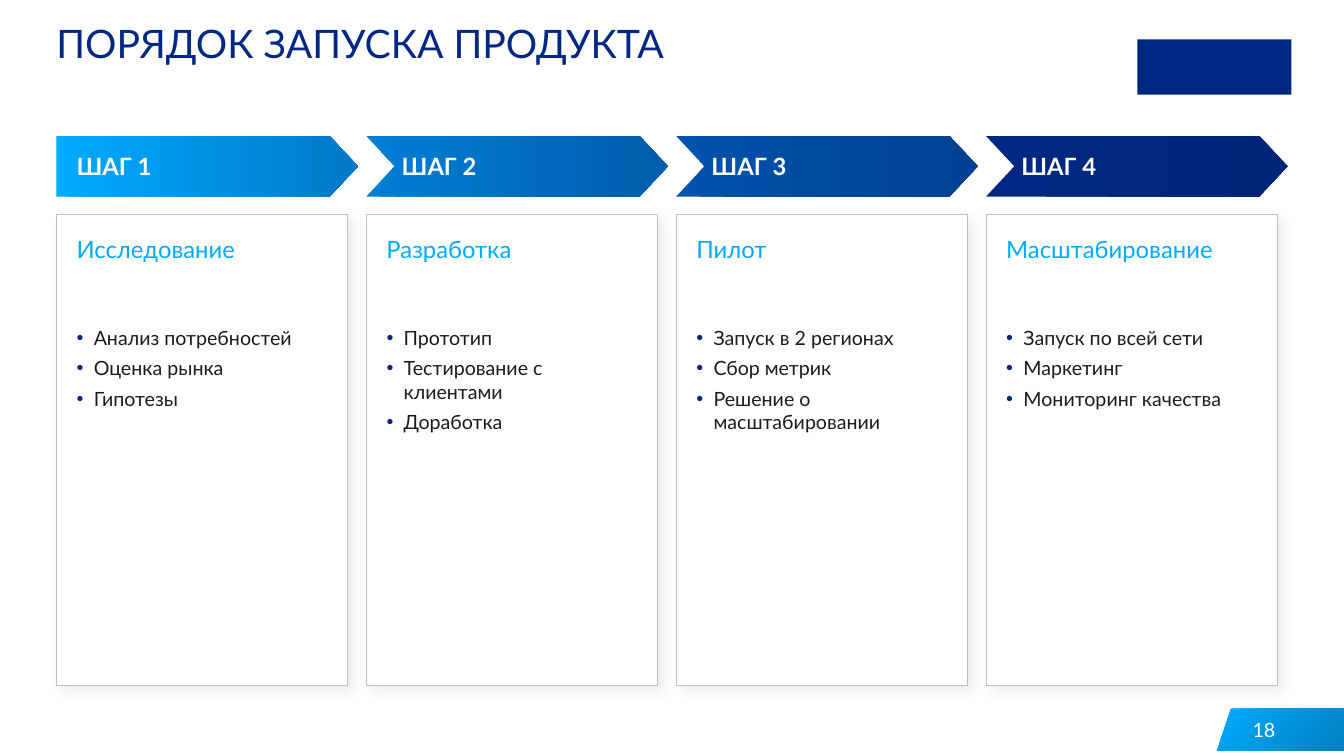
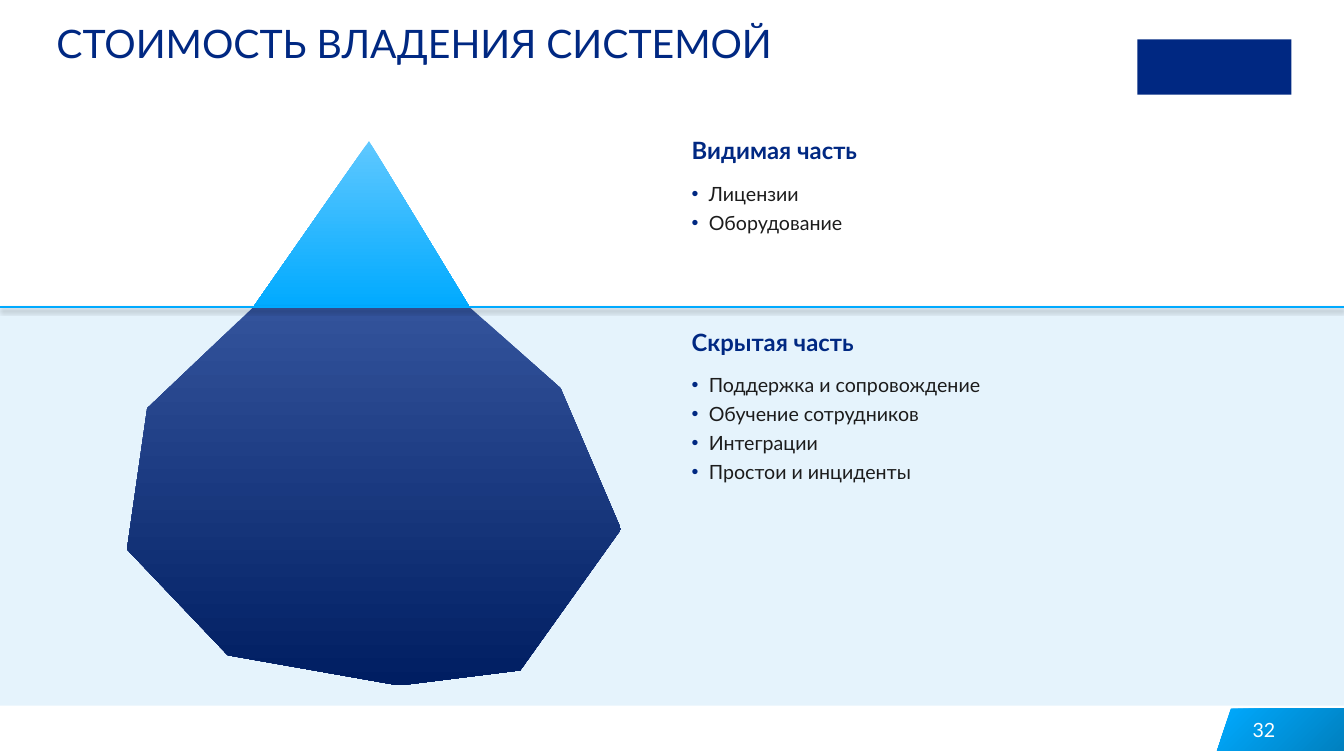
from lxml import etree
from pptx import Presentation
from pptx import util as u
from pptx.dml.color import RGBColor
from pptx.enum import shapes, text
from pptx.oxml.ns import qn

NAVY, SKY, INK, WHITE = "002882", "00AAFF", "1C1C1C", "FFFFFF"
GREY, WATER = "BFBFBF", "E5F3FC"
LEFT, RIGHT, WIDE = 0.56, 12.77, 13.33
TITLE = {"size": 28, "color": NAVY}
STEP = {"size": 17, "color": WHITE, "bold": True}
NAME = {"size": 17, "color": SKY}
HEAD = {"size": 17, "color": NAVY, "bold": True}
BODY = {"size": 14, "color": INK}
PAGE = {"size": 14, "color": WHITE}
# Shadows: opacity %, blur, distance, angle
SOFT, HARD = (8, 9, 5, 45), (38, 3.1, 1.6, 90)


def rgb(code):
    return RGBColor.from_string(code)


def node(parent, tag, **attrs):
    return etree.SubElement(parent, qn(tag), {k: str(v) for k, v in attrs.items()})


class Deck:
    """Holds the shared style and the current slide."""

    def __init__(self):
        self.prs = Presentation()
        self.prs.slide_width = u.Inches(WIDE)
        self.prs.slide_height = u.Inches(7.5)

    def start(self, layout, title, page):
        self.slide = self.prs.slides.add_slide(self.prs.slide_layouts[layout])
        self.shapes = self.slide.shapes
        self.slots = [p for p in self.slide.placeholders
                      if p.placeholder_format.idx > 0]
        self.fill(self.shapes.title, (LEFT, 0.19, 10.48, 0.94), [title], TITLE)
        # Emblem block and page tag
        self.rect((11.28, 0.39, 1.53, 0.55), NAVY)
        self.poly([(12.21, 7.03), (WIDE, 7.03), (WIDE, 7.45), (12.07, 7.45)],
                  (SKY, "0080BF"), 45)
        self.label((12.19, 7.04, 0.46, 0.4), str(page), PAGE,
                   text.MSO_ANCHOR.MIDDLE, text.PP_ALIGN.RIGHT)

    def effect(self, shape, shadow=None):
        """Set the shadow; call after fill and line."""
        fx = node(shape.element.spPr, "a:effectLst")
        if shadow:
            alpha, blur, dist, turn = shadow
            out = node(fx, "a:outerShdw", blurRad=u.Pt(blur), dist=u.Pt(dist),
                       dir=turn * 60000, algn="ctr", rotWithShape=0)
            tint = node(out, "a:srgbClr", val="000000")
            node(tint, "a:alpha", val=alpha * 1000)

    def rect(self, box, fill, line=None, shadow=None):
        shape = self.shapes.add_shape(shapes.MSO_SHAPE.RECTANGLE,
                                      *map(u.Inches, box))
        shape.fill.solid()
        shape.fill.fore_color.rgb = rgb(fill)
        if line:
            shape.line.color.rgb = rgb(line)
            shape.line.width = u.Pt(0.5)
        else:
            shape.line.fill.background()
        self.effect(shape, shadow)

    def poly(self, points, tones, turn):
        first, *rest = [(u.Inches(x), u.Inches(y)) for x, y in points]
        build = self.shapes.build_freeform(*first)
        build.add_line_segments(rest, close=True)
        shape = build.convert_to_shape()
        shape.fill.gradient()
        shape.fill.gradient_angle = -turn % 360
        for stop, tone in zip(shape.fill.gradient_stops, tones):
            stop.color.rgb = rgb(tone)
        shape.line.fill.background()
        self.effect(shape)

    def rule(self, x1, y1, x2, y2):
        line = self.shapes.add_connector(shapes.MSO_CONNECTOR.STRAIGHT,
                                         *map(u.Inches, (x1, y1, x2, y2)))
        line.line.color.rgb = rgb(SKY)
        line.line.width = u.Pt(1.5)
        self.effect(line, HARD)

    def label(self, box, line, style, anchor=text.MSO_ANCHOR.TOP,
              align=text.PP_ALIGN.LEFT):
        shape = self.shapes.add_textbox(*map(u.Inches, box))
        self.fill(shape, box, [line], style, anchor, align)

    def items(self, box, lines, gap):
        """Fill the next body placeholder and bring it to the front."""
        shape = self.slots.pop(0)
        shape.element.getparent().append(shape.element)
        self.fill(shape, box, lines, BODY, gap=gap, bullet=True)

    def fill(self, shape, box, lines, style, anchor=text.MSO_ANCHOR.TOP,
             align=text.PP_ALIGN.LEFT, gap=0, bullet=False):
        for key, val in zip(("left", "top", "width", "height"), box):
            setattr(shape, key, u.Inches(val))
        frame = shape.text_frame
        form = {"word_wrap": True, "auto_size": text.MSO_AUTO_SIZE.NONE,
                "vertical_anchor": anchor, "margin_left": 0, "margin_right": 0,
                "margin_top": 0, "margin_bottom": 0}
        for key, val in form.items():
            setattr(frame, key, val)
        for i, line in enumerate(lines):
            para = frame.add_paragraph() if i else frame.paragraphs[0]
            para.alignment = align
            para.space_before = u.Pt(gap if i else 0)
            if bullet:
                self.bullet(para)
            run = para.add_run()
            run.text = line
            font = {"name": "Lato", "bold": False, **style}
            run.font.color.rgb = rgb(font.pop("color"))
            font["size"] = u.Pt(font["size"])
            for key, val in font.items():
                setattr(run.font, key, val)

    def bullet(self, para):
        prop = para._p.get_or_add_pPr()
        prop.set("marL", str(u.Inches(0.17)))
        prop.set("indent", str(u.Inches(-0.17)))
        node(node(prop, "a:buClr"), "a:srgbClr", val=NAVY)
        node(prop, "a:buChar", char="•")


def steps(deck):
    deck.start(4, "ПОРЯДОК ЗАПУСКА ПРОДУКТА", 18)
    plan = [
        ("Исследование", ("00AAFF", "0079C8"),
         ["Анализ потребностей", "Оценка рынка", "Гипотезы"]),
        ("Разработка", ("007FD5", "005DAD"),
         ["Прототип", "Тестирование с клиентами", "Доработка"]),
        ("Пилот", ("0053AC", "004092"),
         ["Запуск в 2 регионах", "Сбор метрик", "Решение о масштабировании"]),
        ("Масштабирование", ("002882", "002477"),
         ["Запуск по всей сети", "Маркетинг", "Мониторинг качества"]),
    ]
    wide, tip, top, high = 2.99, 0.28, 1.35, 0.6
    pitch = (RIGHT - LEFT - wide) / (len(plan) - 1)
    for i, (name, tones, lines) in enumerate(plan):
        x = LEFT + i * pitch
        end, mid, low = x + wide, top + high / 2, top + high
        # Arrow band, notched after the first step
        notch = [(x + tip, mid)] if i else []
        deck.poly([(x, top), (end - tip, top), (end, mid), (end - tip, low),
                   (x, low)] + notch, tones, 0)
        deck.label((x + (0.35 if i else 0.2), top, 2.39, high), f"ШАГ {i + 1}",
                   STEP, text.MSO_ANCHOR.MIDDLE)
        # Card
        deck.rect((x, 2.13, 2.89, 4.67), WHITE, GREY, SOFT)
        deck.label((x + 0.2, 2.33, 2.54, 0.85), name, NAME)
        deck.items((x + 0.2, 3.23, 2.54, 3.42), lines, 5)


def iceberg(deck):
    deck.start(3, "СТОИМОСТЬ ВЛАДЕНИЯ СИСТЕМОЙ", 32)
    sea = 3.05
    # Water, iceberg and waterline
    deck.rect((0, sea, WIDE, 3.95), WATER)
    deck.poly([(3.66, 1.4), (4.66, sea), (2.51, sea)], ("5FC8FF", SKY), 90)
    deck.poly([(2.51, sea), (4.66, sea), (5.56, 3.85), (6.16, 5.25),
               (5.16, 6.65), (3.96, 6.8), (2.26, 6.5), (1.26, 5.45),
               (1.46, 4.05)], ("33539B", "001E62"), 90)
    deck.rule(0, sea, WIDE, sea)
    # Both parts of the cost
    parts = [
        (1.35, 1.15, "Видимая часть", ["Лицензии", "Оборудование"]),
        (3.25, 3, "Скрытая часть",
         ["Поддержка и сопровождение", "Обучение сотрудников", "Интеграции",
          "Простои и инциденты"]),
    ]
    for y, high, head, lines in parts:
        deck.label((6.86, y, 5.91, 0.4), head, HEAD)
        deck.items((6.86, y + 0.45, 5.91, high), lines, 4)


def main():
    deck = Deck()
    steps(deck)
    iceberg(deck)
    deck.prs.save("out.pptx")


if __name__ == "__main__":
    main()
